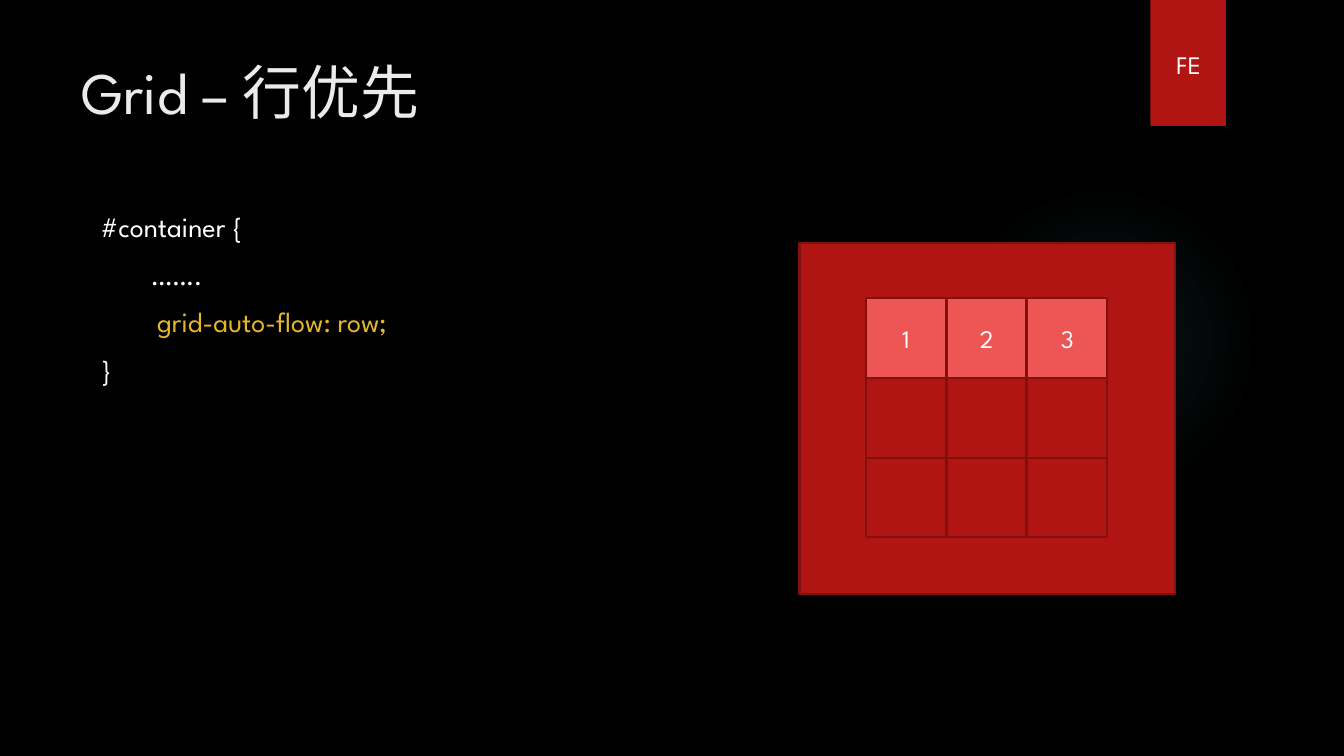
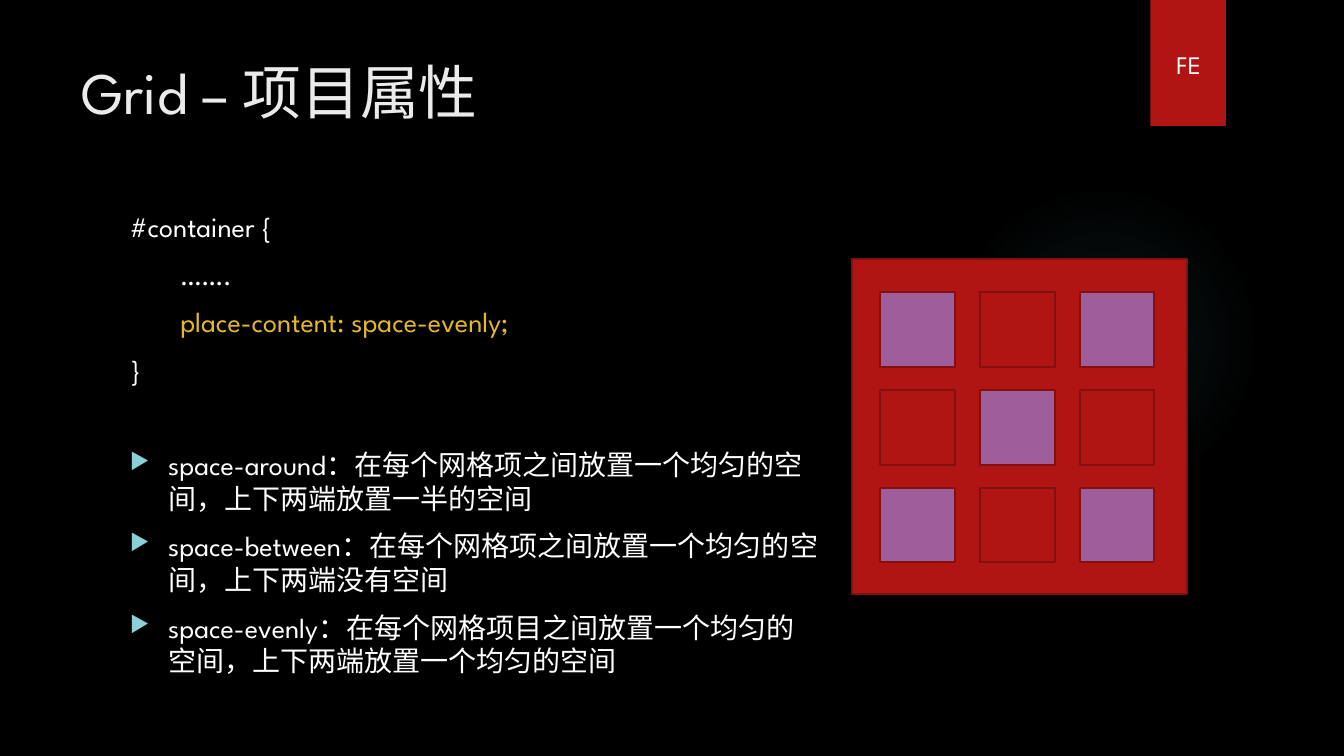
import pptx
import pptx.util
import pptx.oxml
import pptx.oxml.ns
import pptx.dml.color
import pptx.enum.shapes
import pptx.enum.text

FONT = "League Spartan"
BLACK, WHITE, PALE = "000000", "FFFFFF", "EBEBEB"
RED, DARK, CORAL, PLUM = "B01513", "82100E", "ED5654", "9E5E9B"
GOLD, TEAL, AQUA = "E6B729", "50B9C1", "8AD0D6"
SPACE = 'xmlns:a="http://schemas.openxmlformats.org/drawingml/2006/main"'
FORM = pptx.enum.shapes.MSO_SHAPE
ALIGN = pptx.enum.text.PP_ALIGN
ANCHOR = pptx.enum.text.MSO_ANCHOR
inch = pptx.util.Inches


def color(code):
    return pptx.dml.color.RGBColor.from_string(code)


def place(box):
    return [inch(side) for side in box]


def paint(fill, code):
    if code:
        fill.solid()
        fill.fore_color.rgb = color(code)
    else:
        fill.background()


def shape(slide, form, box, fill=None, edge=None):
    part = slide.shapes.add_shape(form, *place(box))
    part.shadow.inherit = False
    paint(part.fill, fill)
    paint(part.line.fill, edge)
    if edge:
        part.line.width = pptx.util.Pt(1.5)
    return part


def style(para, text, size, code, align=ALIGN.LEFT):
    para.text = text
    para.alignment = align
    para.font.name = FONT
    para.font.size = pptx.util.Pt(size)
    para.font.color.rgb = color(code)


def frame(slide, box, wrap=True):
    area = slide.shapes.add_textbox(*place(box)).text_frame
    area.word_wrap = wrap
    return area


def glow(slide, box):
    part = shape(slide, FORM.OVAL, box)
    stops = "".join(
        f'<a:gs pos="{spot * 1000}"><a:srgbClr val="{TEAL}">'
        f'<a:alpha val="{alpha * 1000}"/></a:srgbClr></a:gs>'
        for spot, alpha in ((0, 7), (36, 6), (69, 0)))
    fade = pptx.oxml.parse_xml(
        f'<a:gradFill {SPACE}><a:gsLst>{stops}</a:gsLst><a:path path="circle">'
        '<a:fillToRect l="50000" t="50000" r="50000" b="50000"/>'
        '</a:path></a:gradFill>')
    props = part.element.spPr
    props.replace(props.find(pptx.oxml.ns.qn("a:noFill")), fade)


def badge(slide, box):
    left, top, width, height = box
    shape(slide, FORM.RECTANGLE, box, RED)
    area = frame(slide, (left + 0.15, top + 0.44, width - 0.29, 0.4), False)
    style(area.paragraphs[0], "FE", 18, WHITE, ALIGN.CENTER)


def base(deck, title):
    slide = deck.slides.add_slide(deck.slide_layouts[6])
    glow(slide, (9.41, 1.83, 3.08, 3.08))
    badge(slide, (11.41, 0, 0.75, 1.25))
    area = frame(slide, (0.71, 0.5, 10.29, 1.53))
    style(area.paragraphs[0], title, 42, PALE)
    return slide


def bullet(para):
    props = para._p.get_or_add_pPr()
    props.set("marL", str(inch(0.38)))
    props.set("indent", str(-inch(0.38)))
    for item in (f'<a:buClr {SPACE}><a:srgbClr val="{AQUA}"/></a:buClr>',
                 f'<a:buSzPct {SPACE} val="80000"/>',
                 f'<a:buChar {SPACE} char="▶"/>'):
        props.append(pptx.oxml.parse_xml(item))


def body(slide, box, rule, shift=0.5, notes=()):
    area = frame(slide, box)
    lines = (("#container {", 0, WHITE), ("…….", 0.5, WHITE),
             (rule, shift, GOLD), ("}", 0, WHITE))
    for row, (text, left, code) in enumerate(lines):
        para = area.add_paragraph() if row else area.paragraphs[0]
        para._p.get_or_add_pPr().set("marL", str(inch(left)))
        para.space_before = pptx.util.Pt(10)
        style(para, text, 20, code)
    for row, text in enumerate(notes):
        para = area.add_paragraph()
        bullet(para)
        para.space_before = pptx.util.Pt(10 if row else 44)
        style(para, text, 20, WHITE)


def board(slide, box, inset, size, pitch, fill, marks):
    shape(slide, FORM.RECTANGLE, box, RED, DARK)
    for spot in range(9):
        row, col = divmod(spot, 3)
        left = box[0] + inset[0] + col * pitch[0]
        top = box[1] + inset[1] + row * pitch[1]
        cell = shape(slide, FORM.RECTANGLE, (left, top, size, size),
                     fill if spot in marks else None, DARK)
        if marks.get(spot):
            area = cell.text_frame
            area.vertical_anchor = ANCHOR.MIDDLE
            style(area.paragraphs[0], marks[spot], 18, WHITE, ALIGN.CENTER)


def flow(deck):
    slide = base(deck, "Grid – 行优先")
    body(slide, (0.9, 2.03, 6.13, 4.59), "grid-auto-flow: row;", 0.56)
    board(slide, (7.93, 2.41, 3.72, 3.48), (0.66, 0.55), 0.79, (0.8, 0.79),
          CORAL, {0: "1", 1: "2", 2: "3"})


def items(deck):
    slide = base(deck, "Grid – 项目属性")
    body(slide, (1.19, 2.03, 7.04, 4.59), "place-content:\u00a0space-evenly;",
         notes=("space-around：在每个网格项之间放置一个均匀的空间，上下两端放置一半的空间",
                "space-between：在每个网格项之间放置一个均匀的空间，上下两端没有空间",
                "space-evenly：在每个网格项目之间放置一个均匀的空间，上下两端放置一个均匀的空间"))
    board(slide, (8.45, 2.57, 3.32, 3.32), (0.28, 0.33), 0.74, (0.99, 0.97),
          PLUM, dict.fromkeys(range(0, 9, 2)))


deck = pptx.Presentation()
deck.slide_width, deck.slide_height = inch(13.33), inch(7.5)
paint(deck.slide_master.background.fill, BLACK)
flow(deck)
items(deck)
deck.save("out.pptx")
